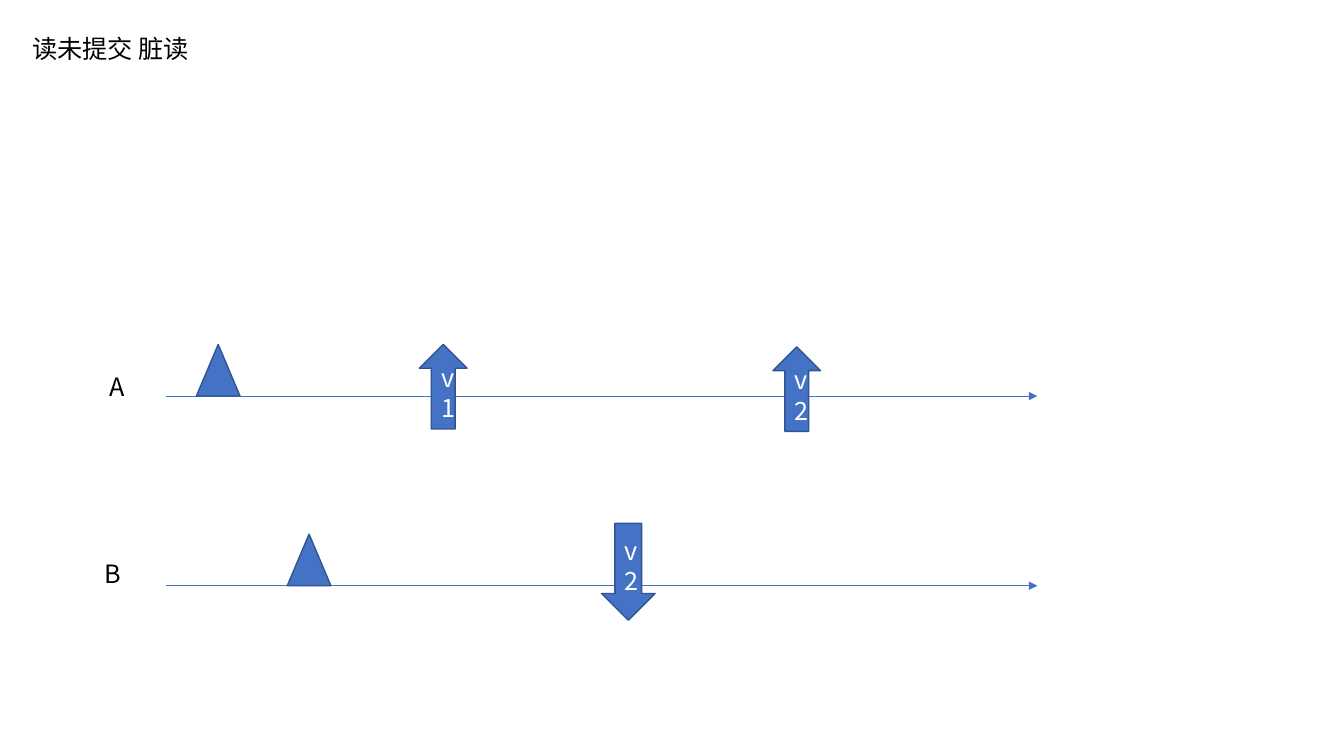
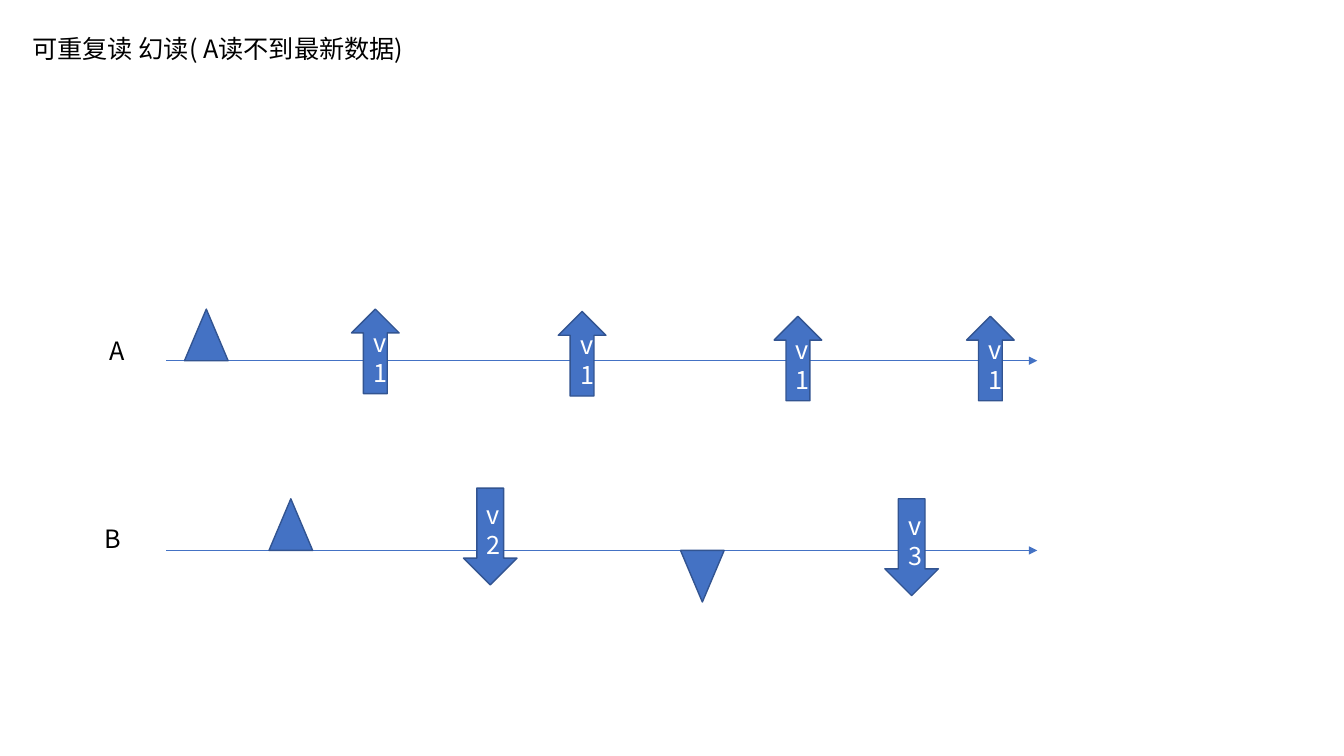
from dataclasses import dataclass

from pptx import Presentation
from pptx.dml.color import RGBColor
from pptx.enum.shapes import MSO_CONNECTOR, MSO_SHAPE as Shape
from pptx.enum.text import MSO_ANCHOR as Anchor, MSO_AUTO_SIZE as Fit, PP_ALIGN as Align
from pptx.oxml.ns import qn
from pptx.util import Cm, Pt
from lxml.etree import SubElement

# Shared style, lengths in cm
FONT, SIZE = "Noto Sans CJK SC", 18
BLUE, EDGE, BLACK, WHITE = "4472C4", "325491", "000000", "FFFFFF"
START, END, GAP = 4.19, 26.14, 4.78


@dataclass(frozen=True)
class Kind:
    """A preset shape and its size."""
    form: Shape
    wide: float
    high: float
    turn: int = 0


BEGIN = Kind(Shape.ISOSCELES_TRIANGLE, 1.1, 1.3)
CLOSE = Kind(Shape.ISOSCELES_TRIANGLE, 1.1, 1.3, 180)
READ = Kind(Shape.UP_ARROW, 1.2, 2.13)
WRITE = Kind(Shape.DOWN_ARROW, 1.35, 2.44)


@dataclass(frozen=True)
class Mark:
    """An event on a lane; rise is how far its top is above the axis."""
    kind: Kind
    left: float
    rise: float
    text: str = ""


@dataclass(frozen=True)
class Lane:
    name: str
    left: float
    rise: float
    marks: tuple[Mark, ...]


@dataclass(frozen=True)
class Page:
    title: str
    wide: float
    top: float
    lanes: tuple[Lane, ...]


def lane_a(*marks: Mark) -> Lane:
    return Lane("A", 2.51, 0.76, marks)


def lane_b(*marks: Mark) -> Lane:
    return Lane("B", 2.39, 0.81, marks)


PAGES = (
    Page("读未提交 脏读", 6.68, 9.98, (
        lane_a(Mark(BEGIN, 4.95, 1.3),
               Mark(READ, 10.57, 1.3, "v1"),
               Mark(READ, 19.48, 1.24, "v2")),
        lane_b(Mark(BEGIN, 7.24, 1.3),
               Mark(WRITE, 15.16, 1.57, "v2")),
    )),
    Page("可重复读 幻读( A读不到最新数据)", 10.9, 9.09, (
        lane_a(Mark(BEGIN, 4.65, 1.3),
               Mark(READ, 8.86, 1.3, "v1"),
               Mark(READ, 14.07, 1.24, "v1"),
               Mark(READ, 19.51, 1.12, "v1"),
               Mark(READ, 24.36, 1.12, "v1")),
        lane_b(Mark(BEGIN, 6.78, 1.3),
               Mark(WRITE, 11.68, 1.57, "v2"),
               Mark(CLOSE, 17.15, 0),
               Mark(WRITE, 22.3, 1.3, "v3")),
    )),
)


def color(code: str) -> RGBColor:
    return RGBColor.from_string(code)


def write(frame, text: str, ink: str, align: Align, anchor: Anchor) -> None:
    frame.word_wrap = True
    frame.vertical_anchor = anchor
    par = frame.paragraphs[0]
    par.alignment = align
    run = par.add_run()
    run.text = text
    run.font.name, run.font.size = FONT, Pt(SIZE)
    run.font.color.rgb = color(ink)
    # East Asian typeface
    SubElement(run.font._element, qn("a:ea"), typeface=FONT)


def add_title(slide, page: Page) -> None:
    title = slide.shapes.title
    title.left, title.top = Cm(0.56), Cm(0.71)
    title.width, title.height = Cm(page.wide), Cm(1.02)
    title.text_frame.auto_size = Fit.NONE
    write(title.text_frame, page.title, BLACK, Align.LEFT, Anchor.TOP)


def add_axis(slide, y: float) -> None:
    axis = slide.shapes.add_connector(
        MSO_CONNECTOR.STRAIGHT, Cm(START), Cm(y), Cm(END), Cm(y))
    axis.line.color.rgb = color(BLUE)
    axis.line.width = Pt(0.5)
    # Arrowhead, no shadow
    SubElement(axis.line._get_or_add_ln(), qn("a:tailEnd"), type="triangle")
    SubElement(axis._element.spPr, qn("a:effectLst"))


def add_label(slide, lane: Lane, y: float) -> None:
    box = slide.shapes.add_textbox(
        Cm(lane.left), Cm(y - lane.rise), Cm(1.45), Cm(1.02))
    write(box.text_frame, lane.name, BLACK, Align.LEFT, Anchor.TOP)


def add_mark(slide, mark: Mark, y: float) -> None:
    kind = mark.kind
    shape = slide.shapes.add_shape(
        kind.form, Cm(mark.left), Cm(y - mark.rise), Cm(kind.wide), Cm(kind.high))
    shape.rotation = kind.turn
    shape.shadow.inherit = False
    shape.fill.solid()
    shape.fill.fore_color.rgb = color(BLUE)
    shape.line.color.rgb = color(EDGE)
    shape.line.width = Pt(1)
    if mark.text:
        write(shape.text_frame, mark.text, WHITE, Align.CENTER, Anchor.MIDDLE)


def main() -> None:
    deck = Presentation()
    deck.slide_width, deck.slide_height = Cm(33.87), Cm(19.05)
    for page in PAGES:
        slide = deck.slides.add_slide(deck.slide_layouts[5])
        add_title(slide, page)
        for row, lane in enumerate(page.lanes):
            y = page.top + row * GAP
            add_axis(slide, y)
            add_label(slide, lane, y)
            for mark in lane.marks:
                add_mark(slide, mark, y)
    deck.save("out.pptx")


if __name__ == "__main__":
    main()
